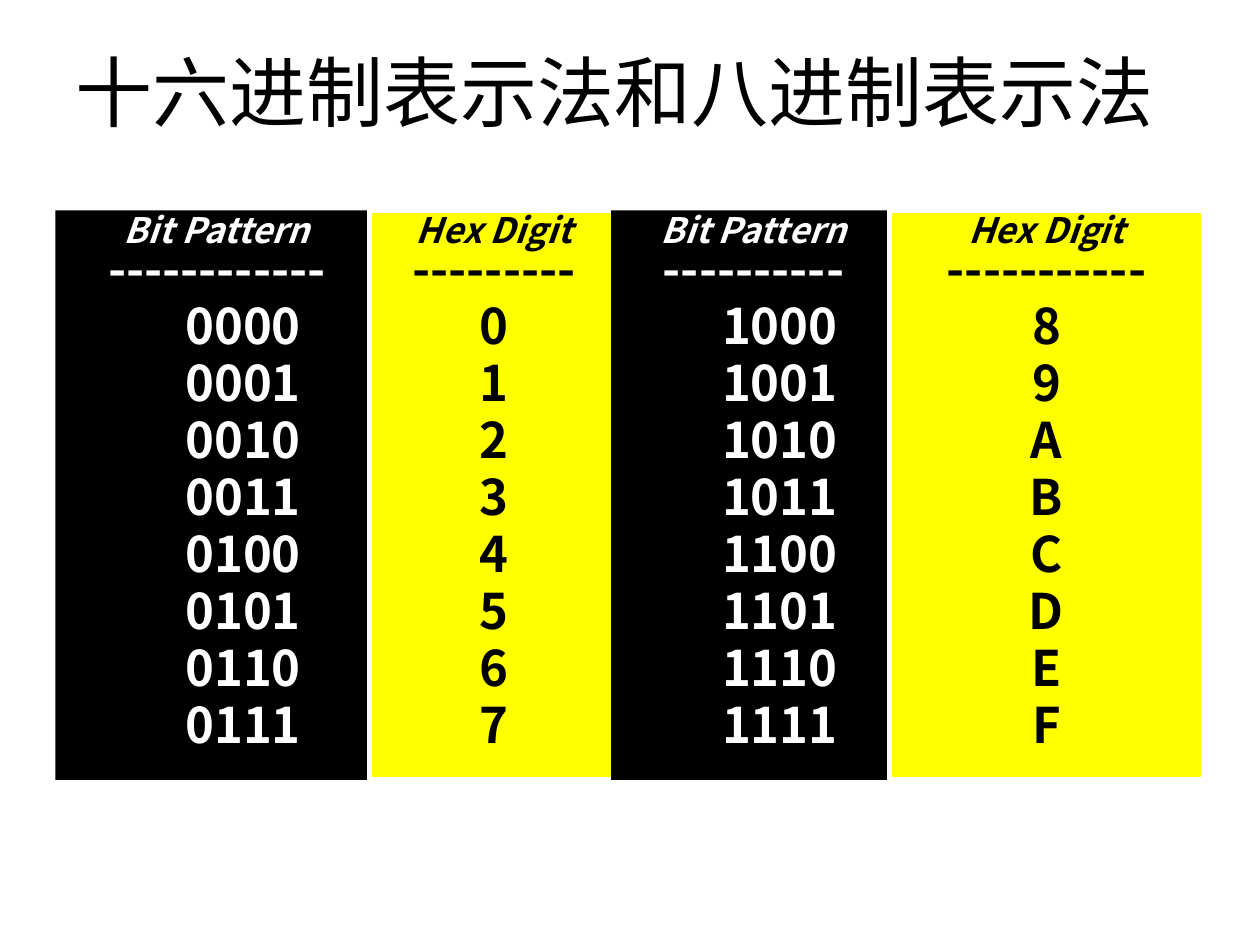
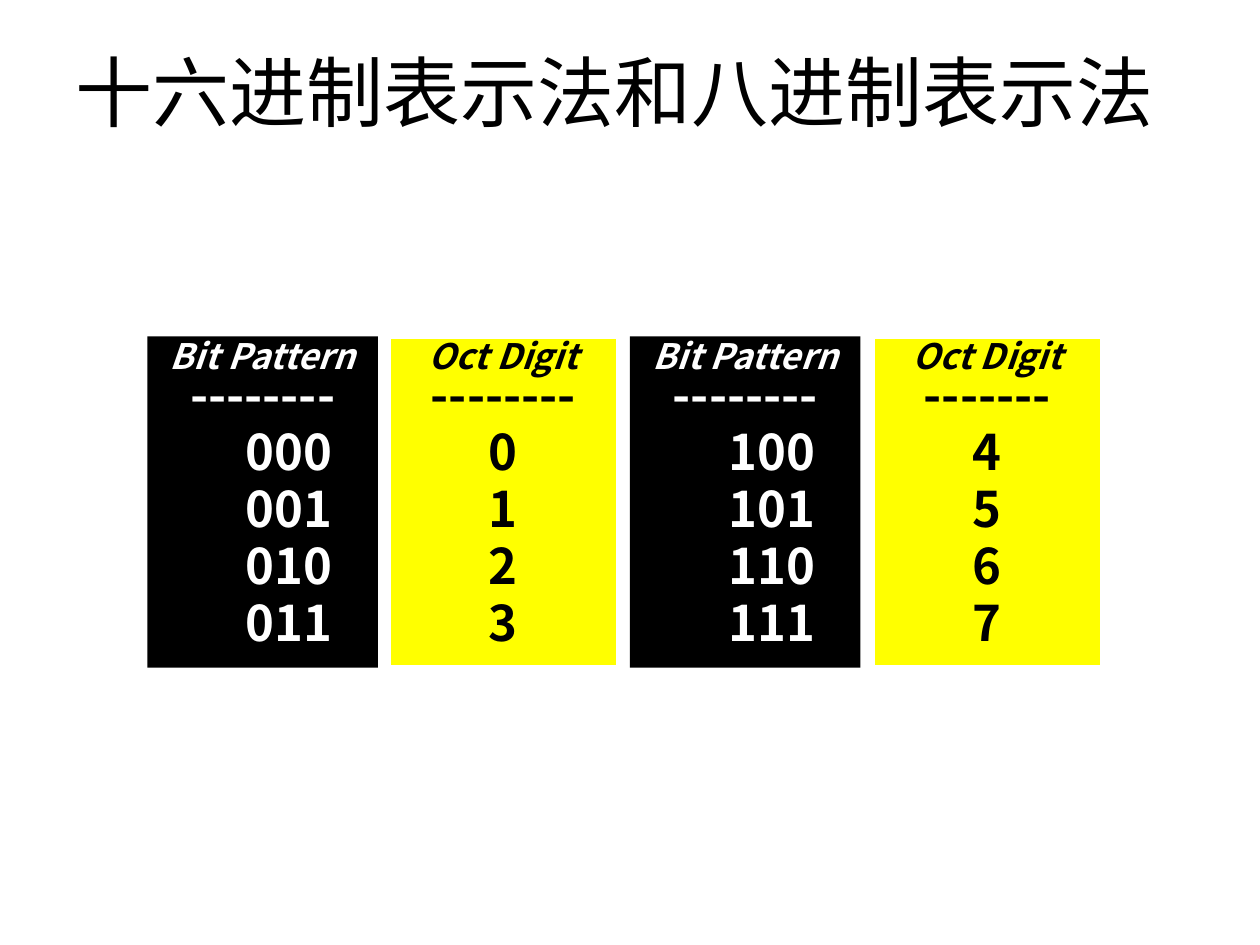
import pptx
import pptx.dml.color
import pptx.enum.shapes
import pptx.enum.text
import pptx.util
from pptx.util import Inches, Pt

# Content: each column pair lists a bit pattern beside its digit
TITLE = "十六进制表示法和八进制表示法"
TABLES = [
    {
        "digit_heading": "Hex Digit", "bits": 4, "top": 1.67, "height": 4.52,
        "lefts": [0.44, 2.93, 4.85, 7.06],
        "widths": [2.56, 1.98, 2.26, 2.49],
        "dashes": [12, 9, 10, 11],
    },
    {
        "digit_heading": "Oct Digit", "bits": 3, "top": 2.67, "height": 2.63,
        "lefts": [1.17, 3.08, 5, 6.92],
        "widths": [1.83] * 4,
        "dashes": [8, 8, 8, 7],
    },
]

# Shared style
FONT = "Noto Sans CJK SC"
BLACK, WHITE, YELLOW = "000000", "FFFFFF", "FFFF00"
HEADING_SIZE, DIGIT_SIZE, TITLE_SIZE = 20, 28, 44
LINE_SPACING = 0.8
PATTERN_INDENT = 0.42


def color(hex_string):
    return pptx.dml.color.RGBColor.from_string(hex_string)


def format_run(run, size, hex_string, bold=False, italic=False):
    run.font.name = FONT
    run.font.size = Pt(size)
    run.font.bold = bold
    run.font.italic = italic
    run.font.color.rgb = color(hex_string)
    properties = run.font._element
    east_asian = properties.makeelement(pptx.oxml.ns.qn("a:ea"), {"typeface": FONT})
    properties.find(pptx.oxml.ns.qn("a:latin")).addnext(east_asian)


def add_title(slide):
    title = slide.shapes.title
    title.left, title.top = Inches(0.5), Inches(0.3)
    title.width, title.height = Inches(9), Inches(1.25)
    frame = title.text_frame
    frame.text = TITLE
    frame.auto_size = pptx.enum.text.MSO_AUTO_SIZE.NONE
    frame.vertical_anchor = pptx.enum.text.MSO_ANCHOR.TOP
    paragraph = frame.paragraphs[0]
    paragraph.alignment = pptx.enum.text.PP_ALIGN.LEFT
    paragraph.line_spacing = 1.0
    format_run(paragraph.runs[0], TITLE_SIZE, BLACK)


def add_column(slide, box, heading, dashes, entries, is_pattern):
    shape = slide.shapes.add_shape(
        pptx.enum.shapes.MSO_SHAPE.RECTANGLE, *[Inches(length) for length in box])
    shape.shadow.inherit = False
    shape.fill.solid()
    shape.fill.fore_color.rgb = color(BLACK if is_pattern else YELLOW)
    if is_pattern:
        shape.line.fill.background()
    else:
        shape.line.color.rgb = color(WHITE)
        shape.line.width = Pt(3)

    frame = shape.text_frame
    frame.word_wrap = True
    frame.vertical_anchor = pptx.enum.text.MSO_ANCHOR.TOP
    # A vertical tab breaks the line inside the heading paragraph
    frame.text = "\n".join([heading + "\v" + "-" * dashes] + entries)
    text_color = WHITE if is_pattern else BLACK
    for row, paragraph in enumerate(frame.paragraphs):
        paragraph.alignment = pptx.enum.text.PP_ALIGN.CENTER
        paragraph.line_spacing = LINE_SPACING
        is_heading = row == 0
        paragraph.space_before = Pt((HEADING_SIZE if is_heading else DIGIT_SIZE) * 0.2)
        if is_pattern and not is_heading:
            paragraph._p.get_or_add_pPr().set("marL", str(Inches(PATTERN_INDENT)))
        for position, run in enumerate(paragraph.runs):
            is_label = is_heading and position == 0
            format_run(run, HEADING_SIZE if is_label else DIGIT_SIZE, text_color,
                       bold=True, italic=is_label)


def add_table_slide(presentation, table):
    slide = presentation.slides.add_slide(presentation.slide_layouts[5])
    add_title(slide)
    bits = table["bits"]
    half = 2 ** bits // 2
    columns = zip(table["lefts"], table["widths"], table["dashes"])
    for index, (left, width, dashes) in enumerate(columns):
        is_pattern = index % 2 == 0
        first = index // 2 * half
        number_format = f"0{bits}b" if is_pattern else "X"
        entries = [format(value, number_format) for value in range(first, first + half)]
        heading = "Bit Pattern" if is_pattern else table["digit_heading"]
        add_column(slide, (left, table["top"], width, table["height"]),
                   heading, dashes, entries, is_pattern)


def main():
    presentation = pptx.Presentation()
    presentation.slide_width, presentation.slide_height = Inches(10), Inches(7.5)
    for table in TABLES:
        add_table_slide(presentation, table)
    presentation.save("out.pptx")


if __name__ == "__main__":
    main()
